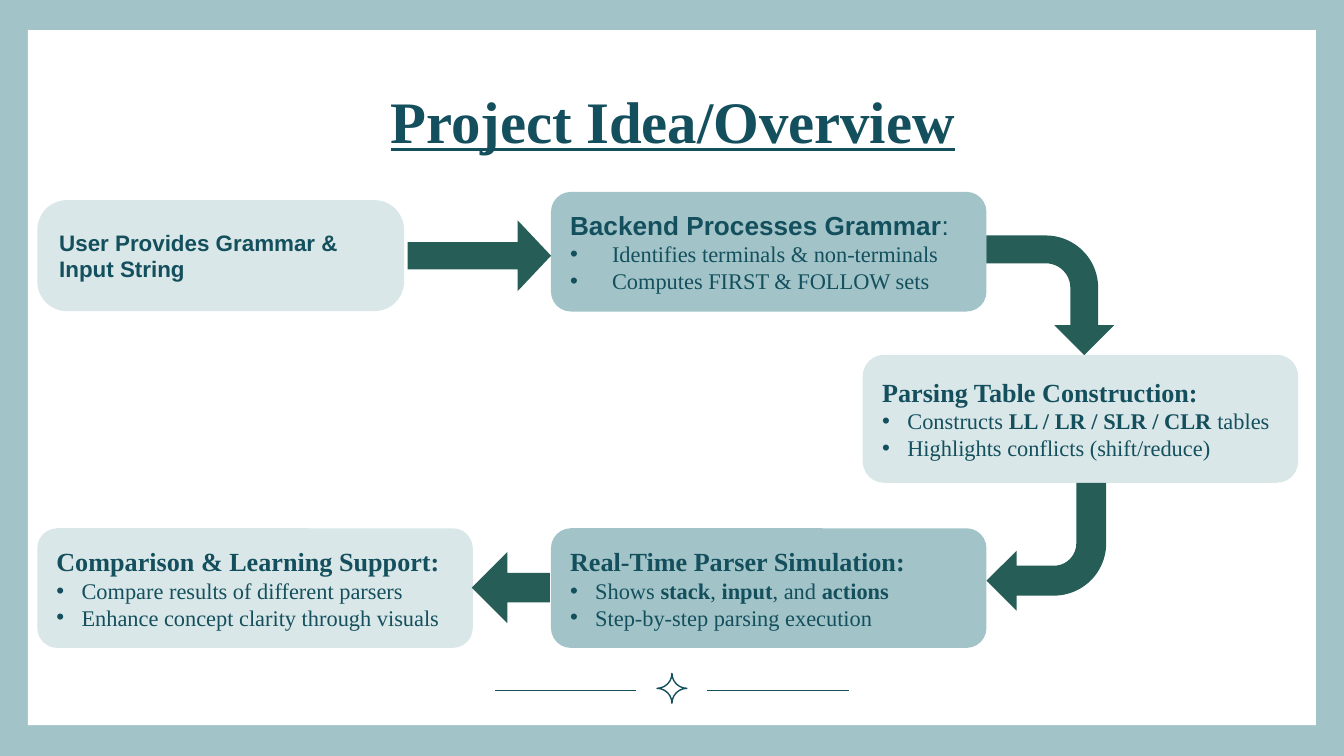
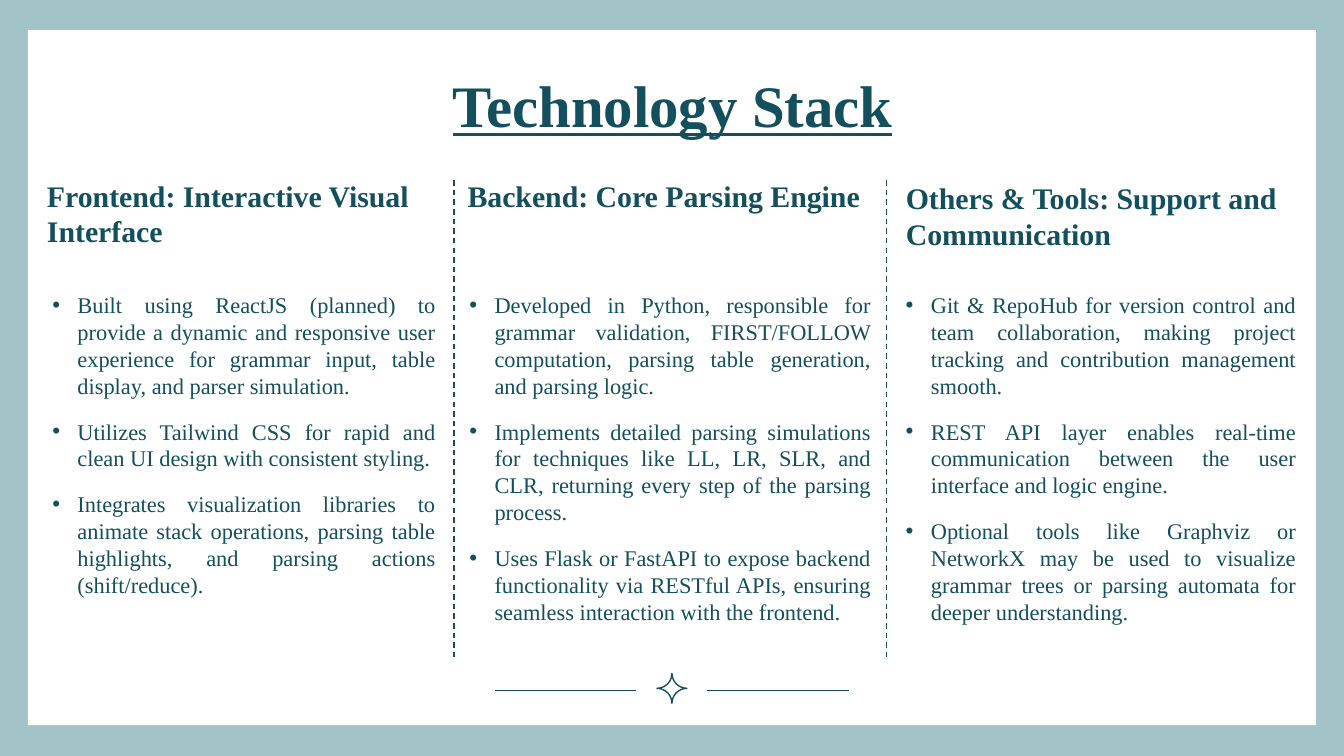
from lxml import etree
from pptx import Presentation
from pptx.dml.color import RGBColor
from pptx.enum import dml, shapes, text
from pptx.oxml import ns
from pptx.util import Pt

TEAL = RGBColor(0x13, 0x4F, 0x5C)
MIST = RGBColor(0xA2, 0xC4, 0xC9)
PALE = RGBColor(0xDA, 0xE7, 0xE9)
PINE = RGBColor(0x26, 0x5D, 0x57)
WHITE = RGBColor(0xFF, 0xFF, 0xFF)
SERIF, SANS = "Times New Roman", "Arial"
SLIDE_W, SLIDE_H = 720, 405
KIND = shapes.MSO_SHAPE
ALIGN = text.PP_ALIGN
ANCHOR = text.MSO_ANCHOR

TITLE = {"size": Pt(31.5), "name": SERIF, "bold": True, "underline": True}
HEADING = {"size": Pt(16), "name": SERIF, "bold": True}
STEP_HEAD = {"size": Pt(14), "name": SERIF, "bold": True}
STEP_HEAD_SANS = {"size": Pt(14), "name": SANS, "bold": True}
START = {"size": Pt(12), "name": SANS, "bold": True}
BODY = {"size": Pt(12), "name": SERIF, "bold": False}
STRONG = {**BODY, "bold": True}

STEP_W, STEP_H = 233.3, 64.1
LEFT_X, MIDDLE_X, RIGHT_X = 20, 295.2, 462.2
BOTTOM_Y = 283

STEPS = [
    ((LEFT_X, 107.2, 196.5, 59.5), PALE, 0.267, 0,
     [[("User Provides Grammar & Input String", START)]]),
    ((MIDDLE_X, 102.8, STEP_W, STEP_H), MIST, None, 22.5,
     [[("Backend Processes Grammar", STEP_HEAD_SANS),
       (":", {**STEP_HEAD_SANS, "bold": False})],
      [("Identifies terminals & non-terminals", BODY)],
      [("Computes FIRST & FOLLOW sets", BODY)]]),
    ((RIGHT_X, 190.1, STEP_W, 68.6), PALE, None, 13.5,
     [[("Parsing Table Construction:", STEP_HEAD)],
      [("Constructs ", BODY), ("LL / LR / SLR / CLR", STRONG), (" tables", BODY)],
      [("Highlights conflicts (shift/reduce)", BODY)]]),
    ((MIDDLE_X, BOTTOM_Y, STEP_W, STEP_H), MIST, None, 13.5,
     [[("Real-Time Parser Simulation:", STEP_HEAD)],
      [("Shows ", BODY), ("stack", STRONG), (", ", BODY), ("input", STRONG),
       (", and ", BODY), ("actions", STRONG)],
      [("Step-by-step parsing execution", BODY)]]),
    ((LEFT_X, BOTTOM_Y, STEP_W, STEP_H), PALE, None, 13.5,
     [[("Comparison & Learning Support:", STEP_HEAD)],
      [("Compare results of different parsers", BODY)],
      [("Enhance concept clarity through visuals", BODY)]]),
]

ARROWS = [
    (KIND.RIGHT_ARROW, (218.4, 118, 76.8, 38), 0, (0.387, 0.472)),
    (KIND.BENT_ARROW, (530.6, 124, 64.1, 68.4), 90, (0.233, 0.25, 0.25, 0.438)),
    (KIND.BENT_ARROW, (528.5, 258.7, 64.1, 68.4), 180, ()),
    (KIND.LEFT_ARROW, (252.7, 295.7, 41.8, 38.2), 0, (0.415, 0.5)),
]

COLUMNS = [
    ((25.2, 95, 218.2, 39), (10, 156.2, 223.5, 165.6),
     "Frontend: Interactive Visual Interface",
     ["Built using ReactJS (planned) to provide a dynamic and responsive user "
      "experience for grammar input, table display, and parser simulation.",
      "Utilizes Tailwind CSS for rapid and clean UI design with consistent styling.",
      "Integrates visualization libraries to animate stack operations, parsing "
      "table highlights, and parsing actions (shift/reduce)."]),
    ((250.5, 95, 213.1, 19.5), (233.5, 156.2, 233.3, 180),
     "Backend: Core Parsing Engine",
     ["Developed in Python, responsible for grammar validation, FIRST/FOLLOW "
      "computation, parsing table generation, and parsing logic.",
      "Implements detailed parsing simulations for techniques like LL, LR, SLR, "
      "and CLR, returning every step of the parsing process.",
      "Uses Flask or FastAPI to expose backend functionality via RESTful APIs, "
      "ensuring seamless interaction with the frontend."]),
    ((485.3, 96.5, 208.8, 39), (467.2, 156.2, 227.3, 180),
     "Others & Tools: Support and Communication",
     ["Git & RepoHub for version control and team collaboration, making project "
      "tracking and contribution management smooth.",
      "REST API layer enables real-time communication between the user interface "
      "and logic engine.",
      "Optional tools like Graphviz or NetworkX may be used to visualize grammar "
      "trees or parsing automata for deeper understanding."]),
]


def pts(box):
    return [Pt(value) for value in box]


def add_block(slide, kind, box, fill=None, line=None, adjust=()):
    block = slide.shapes.add_shape(kind, *pts(box))
    block.shadow.inherit = False
    for position, value in enumerate(adjust):
        block.adjustments[position] = value
    if fill is None:
        block.fill.background()
    else:
        block.fill.solid()
        block.fill.fore_color.rgb = fill
    if line is None:
        block.line.fill.background()
    else:
        block.line.color.rgb = line
        block.line.width = Pt(0.75)
    return block


def add_rule(slide, start, end, dash=None):
    rule = slide.shapes.add_connector(shapes.MSO_CONNECTOR.STRAIGHT, *pts(start + end))
    rule.line.color.rgb = TEAL
    rule.line.width = Pt(0.75)
    if dash is not None:
        rule.line.dash_style = dash
    etree.SubElement(rule._element.spPr, ns.qn("a:effectLst"))


def add_bullet(paragraph, margin, hanging):
    properties = paragraph._p.get_or_add_pPr()
    properties.set("marL", str(Pt(margin)))
    properties.set("indent", str(-Pt(hanging)))
    etree.SubElement(properties, ns.qn("a:buFont")).set("typeface", "Arial")
    etree.SubElement(properties, ns.qn("a:buChar")).set("char", "•")


def write_runs(paragraph, runs, align=ALIGN.LEFT):
    paragraph.alignment = align
    for words, style in runs:
        run = paragraph.add_run()
        run.text = words
        run.font.color.rgb = TEAL
        for attribute, value in style.items():
            setattr(run.font, attribute, value)


def next_paragraph(frame, index):
    return frame.add_paragraph() if index else frame.paragraphs[0]


def add_text_frame(slide, box, inset=0):
    frame = slide.shapes.add_textbox(*pts(box)).text_frame
    frame.word_wrap = True
    frame.vertical_anchor = ANCHOR.TOP
    for side in ("left", "top", "right", "bottom"):
        setattr(frame, f"margin_{side}", Pt(inset))
    return frame


def draw_footer(slide, center_x, center_y):
    star, gap, length = 16, 19, 76
    add_block(slide, KIND.PLAQUE,
              (center_x - star / 2, center_y - 1 - star / 2, star, star),
              line=TEAL, adjust=(0.5,))
    for side in (-1, 1):
        inner = center_x + side * gap
        add_rule(slide, (inner, center_y), (inner + side * length, center_y))


def start_slide(deck, title, title_y):
    slide = deck.slides.add_slide(deck.slide_layouts[6])
    slide.background.fill.solid()
    slide.background.fill.fore_color.rgb = MIST
    add_block(slide, KIND.RECTANGLE, (15, 16.2, 690, 372.3), WHITE)
    draw_footer(slide, SLIDE_W / 2, 369.8)
    frame = add_text_frame(slide, (56.9, title_y, 607, 44.6), 7.2)
    frame.margin_top = Pt(10)
    write_runs(frame.paragraphs[0], [(title, TITLE)], ALIGN.CENTER)
    return slide


def draw_step(slide, box, fill, corner, hanging, paragraphs):
    adjust = () if corner is None else (corner,)
    frame = add_block(slide, KIND.ROUNDED_RECTANGLE, box, fill, adjust=adjust).text_frame
    frame.word_wrap = True
    frame.vertical_anchor = ANCHOR.MIDDLE
    for index, runs in enumerate(paragraphs):
        paragraph = next_paragraph(frame, index)
        write_runs(paragraph, runs)
        if index:
            add_bullet(paragraph, hanging, hanging)


def draw_column(slide, heading_box, points_box, heading, points):
    heading_frame = add_text_frame(slide, heading_box)
    write_runs(heading_frame.paragraphs[0], [(heading, HEADING)])
    frame = add_text_frame(slide, points_box)
    for index, point in enumerate(points):
        paragraph = next_paragraph(frame, index)
        write_runs(paragraph, [(point, BODY)], ALIGN.JUSTIFY)
        paragraph.space_before = Pt(10)
        add_bullet(paragraph, 31.5, 13.5)


def build_overview(deck):
    slide = start_slide(deck, "Project Idea/Overview", 35.3)
    for step in STEPS:
        draw_step(slide, *step)
    for kind, box, rotation, adjust in ARROWS:
        add_block(slide, kind, box, PINE, adjust=adjust).rotation = rotation


def build_technology(deck):
    slide = start_slide(deck, "Technology Stack", 27)
    for column in COLUMNS:
        draw_column(slide, *column)
    for divider_x in (243.3, 475):
        add_rule(slide, (divider_x, 96.5), (divider_x, 353.5), dml.MSO_LINE.DASH)


def main():
    deck = Presentation()
    deck.slide_width, deck.slide_height = Pt(SLIDE_W), Pt(SLIDE_H)
    build_overview(deck)
    build_technology(deck)
    deck.save("out.pptx")


if __name__ == "__main__":
    main()
